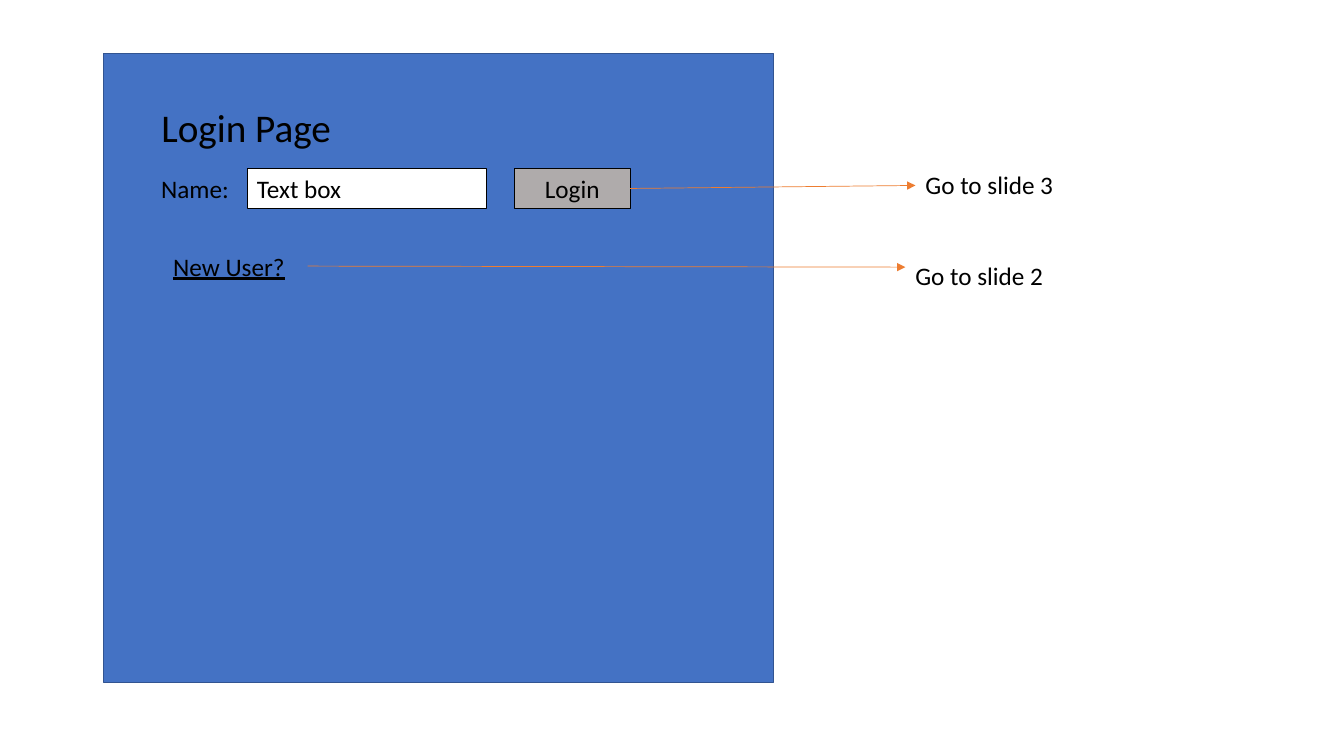
from dataclasses import dataclass
from typing import Optional

from lxml import etree
from pptx import Presentation
from pptx.dml.color import RGBColor
from pptx.enum.shapes import MSO_CONNECTOR, MSO_SHAPE
from pptx.enum.text import MSO_ANCHOR, MSO_AUTO_SIZE, PP_ALIGN
from pptx.oxml.ns import qn
from pptx.util import Inches, Pt

RECTANGLE = MSO_SHAPE.RECTANGLE
STRAIGHT = MSO_CONNECTOR.STRAIGHT
TOP = MSO_ANCHOR.TOP
GROW = MSO_AUTO_SIZE.SHAPE_TO_FIT_TEXT
LEFT, CENTER = PP_ALIGN.LEFT, PP_ALIGN.CENTER

BLUE = RGBColor(0x44, 0x72, 0xC4)
DARK_BLUE = RGBColor(0x32, 0x54, 0x91)
ORANGE = RGBColor(0xED, 0x7D, 0x31)
GRAY = RGBColor(0xAF, 0xAB, 0xAB)
WHITE = RGBColor(0xFF, 0xFF, 0xFF)
BLACK = RGBColor(0x00, 0x00, 0x00)

LEFT_SIDE, RIGHT_SIDE = 1, 3
FRAME_FORMAT = {"word_wrap": True, "vertical_anchor": TOP, "auto_size": GROW}
FONT_FORMAT = {"name": "Calibri", "bold": False}


@dataclass(frozen=True)
class Label:
    text: str
    left: float
    top: float
    width: float
    height: float = 0.4
    size: int = 18
    align: PP_ALIGN = LEFT
    underline: bool = False
    fill: Optional[RGBColor] = None


HEADING = Label("Login Page", 1.5, 0.97, 2.7, 0.57, size=28)
LABELS = {
    "name": Label("Name:", 1.5, 1.67, 0.95),
    "entry": Label("Text box", 2.45, 1.67, 2.38, fill=WHITE),
    "login": Label("Login", 5.1, 1.67, 1.15, align=CENTER, fill=GRAY),
    "new_user": Label("New User?", 1.62, 2.44, 1.43, underline=True),
    "to_slide_2": Label("Go to slide 2", 8.98, 2.53, 1.99, 0.42),
    "to_slide_3": Label("Go to slide 3", 9.08, 1.63, 1.99, 0.42),
}


def apply_format(target, values: dict) -> None:
    for attribute, value in values.items():
        setattr(target, attribute, value)


def paint(shape, fill: RGBColor, outline: RGBColor, weight: float) -> None:
    shape.fill.solid()
    shape.fill.fore_color.rgb = fill
    shape.line.color.rgb = outline
    shape.line.width = Pt(weight)


def write_label(shape, label: Label) -> None:
    apply_format(shape, {side: Inches(getattr(label, side))
                         for side in ("left", "top", "width", "height")})
    frame = shape.text_frame
    apply_format(frame, FRAME_FORMAT)
    paragraph = frame.paragraphs[0]
    paragraph.alignment = label.align
    run = paragraph.add_run()
    run.text = label.text
    apply_format(run.font, FONT_FORMAT)
    run.font.size = Pt(label.size)
    run.font.color.rgb = BLACK
    if label.underline:
        run.font.underline = True
    if label.fill is not None:
        paint(shape, label.fill, BLACK, 0.75)


def add_label(slide, label: Label):
    box = slide.shapes.add_textbox(Inches(label.left), Inches(label.top),
                                   Inches(label.width), Inches(label.height))
    write_label(box, label)
    return box


def add_arrow(slide, source, end_x: float, end_y: float):
    arrow = slide.shapes.add_connector(STRAIGHT, 0, 0, Inches(end_x), Inches(end_y))
    arrow.begin_connect(source, RIGHT_SIDE)
    arrow.line.color.rgb = ORANGE
    arrow.line.width = Pt(0.5)
    etree.SubElement(arrow.line._get_or_add_ln(), qn("a:tailEnd"), type="triangle")
    etree.SubElement(arrow.element.spPr, qn("a:effectLst"))
    return arrow


def main() -> None:
    deck = Presentation()
    deck.slide_width = Inches(13.33)
    deck.slide_height = Inches(7.5)
    slide = deck.slides.add_slide(deck.slide_layouts[5])

    login_page = slide.shapes.add_shape(RECTANGLE, Inches(1.03), Inches(0.53),
                                        Inches(6.64), Inches(6.24))
    login_page.shadow.inherit = False
    paint(login_page, BLUE, DARK_BLUE, 1)
    heading = slide.shapes.title
    login_page.element.addnext(heading.element)
    write_label(heading, HEADING)

    boxes = {key: add_label(slide, label) for key, label in LABELS.items()}
    add_arrow(slide, boxes["new_user"], 8.98, 2.65)
    login_arrow = add_arrow(slide, boxes["login"], 9.08, 1.84)
    login_arrow.end_connect(boxes["to_slide_3"], LEFT_SIDE)

    deck.save("out.pptx")


if __name__ == "__main__":
    main()
